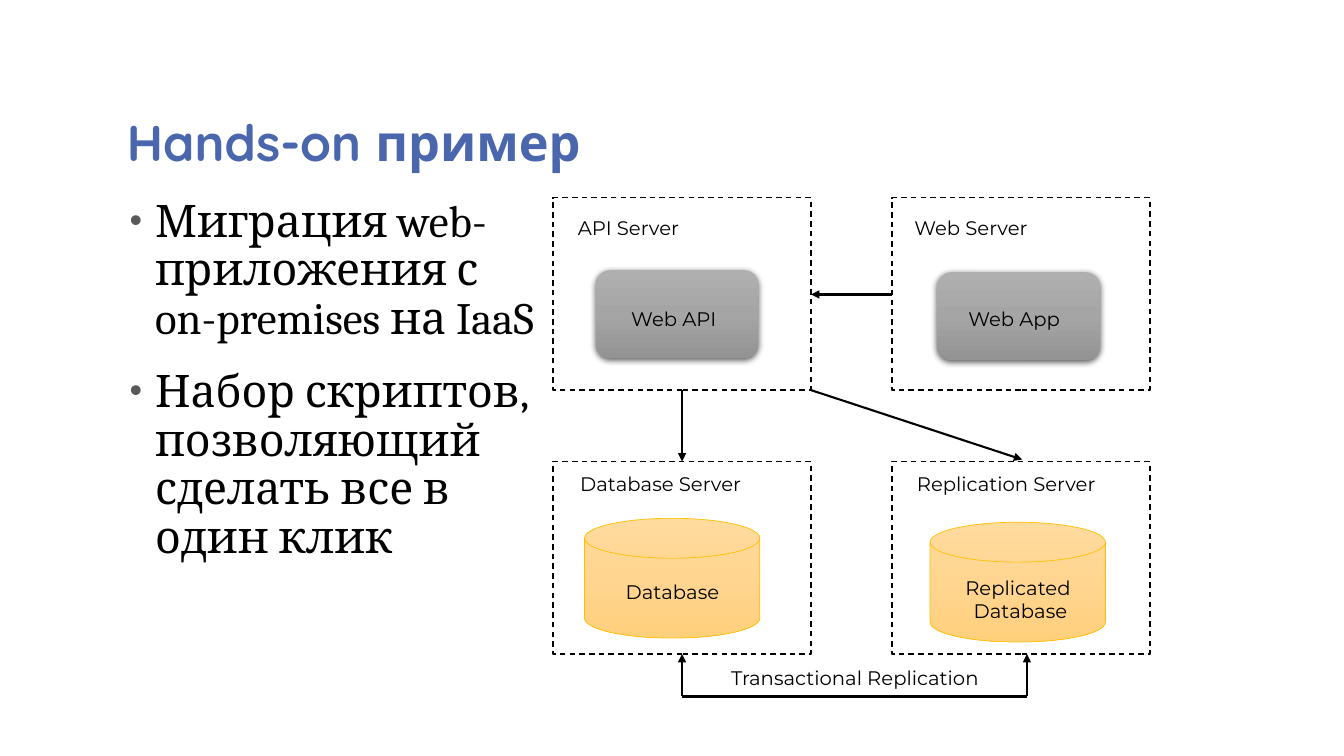
from dataclasses import dataclass

from lxml.etree import SubElement
from pptx import Presentation
from pptx.dml.color import RGBColor
from pptx.enum.dml import MSO_LINE
from pptx.enum.shapes import MSO_CONNECTOR, MSO_SHAPE as Preset
from pptx.enum.text import MSO_ANCHOR as Anchor, MSO_AUTO_SIZE as AutoSize, PP_ALIGN as Align
from pptx.oxml.ns import qn
from pptx.util import Cm, Pt

COLORS = {
    "title": "4A66AC", "text": "000000", "line": "000000", "paper": "FFFFFF",
    "bullet": "595959", "disk_line": "FFC000", "shadow": "000000",
}
APP_GRADIENT = ("AFAFAF", "A5A5A5", "939393")
DISK_GRADIENT = ("FFDB9E", "FFD590", "FFD07C")

COLUMNS = (13.94, 22.48)
ROWS = (4.98, 11.63)
SERVER_WIDTH, SERVER_HEIGHT = 6.5, 4.85
APP_SIZE, DISK_SIZE = (4.11, 2.21), (4.42, 3.02)


@dataclass(frozen=True)
class Node:
    """A filled shape inside a server, placed by its top left corner in cm."""
    left: float
    top: float


@dataclass(frozen=True)
class Label:
    """Centred lines of text, placed by their middle in cm."""
    lines: tuple[str, ...]
    x: float
    y: float
    width: float


@dataclass(frozen=True)
class Link:
    """A line between two points in cm, with an arrowhead at its end or none."""
    start: tuple[float, float]
    end: tuple[float, float]
    arrow: bool = True


APPS = (Node(15.01, 6.81), Node(23.62, 6.86))
DISKS = (Node(14.73, 13.06), Node(23.44, 13.16))

LABELS = (
    Label(("API Server",), 15.84, 5.73, 3.38),
    Label(("Web Server",), 24.47, 5.73, 3.58),
    Label(("Database Server",), 16.65, 12.2, 5),
    Label(("Replication Server",), 25.36, 12.2, 5.51),
    Label(("Web API",), 16.98, 8.04, 2.77),
    Label(("Web App",), 25.56, 8.04, 2.87),
    Label(("Replicated ", "Database"), 25.72, 15.1, 3.58),
    Label(("Database",), 16.95, 14.92, 3.07),
    Label(("Transactional Replication",), 21.55, 17.08, 7.49),
)

API_MIDDLE = COLUMNS[0] + SERVER_WIDTH / 2
API_RIGHT = COLUMNS[0] + SERVER_WIDTH
API_BOTTOM = ROWS[0] + SERVER_HEIGHT
DATA_BOTTOM = ROWS[1] + SERVER_HEIGHT
REPLICA_X, BRACKET_Y, WEB_Y = 25.88, 17.55, 7.42

LINKS = (
    Link((API_MIDDLE, API_BOTTOM), (API_MIDDLE, ROWS[1])),
    Link((API_RIGHT, API_BOTTOM), (25.76, 11.58)),
    Link((COLUMNS[1], WEB_Y), (API_RIGHT, WEB_Y)),
    Link((API_MIDDLE, BRACKET_Y), (API_MIDDLE, DATA_BOTTOM)),
    Link((REPLICA_X, BRACKET_Y), (REPLICA_X, DATA_BOTTOM)),
    Link((API_MIDDLE, BRACKET_Y), (REPLICA_X, BRACKET_Y), arrow=False),
)

BULLETS = (
    "Миграция web-приложения с on-premises на IaaS",
    "Набор скриптов, позволяющий сделать все в один клик",
)


def color(name: str) -> RGBColor:
    """Return the named colour."""
    return RGBColor.from_string(COLORS[name])


def add_shape(page, preset: Preset, left: float, top: float, width: float, height: float):
    """Add a preset shape without a shadow."""
    shape = page.shapes.add_shape(preset, Cm(left), Cm(top), Cm(width), Cm(height))
    shape.shadow.inherit = False
    return shape


def add_box(page, left: float, top: float, width: float, height: float, wrap: bool = True):
    """Add a text box and return its text frame."""
    frame = page.shapes.add_textbox(Cm(left), Cm(top), Cm(width), Cm(height)).text_frame
    frame.word_wrap = wrap
    return frame


def add_para(frame, index: int):
    """Return the first paragraph, or a new one after it."""
    return frame.add_paragraph() if index else frame.paragraphs[0]


def add_span(para, text: str, size: float, font: str, ink: str, bold: bool = False) -> None:
    """Add one run of text to a paragraph."""
    span = para.add_run()
    span.text = text
    span.font.size, span.font.name, span.font.bold = Pt(size), font, bold
    span.font.color.rgb = color(ink)


def fill_gradient(shape, shades: tuple[str, ...]) -> None:
    """Fill a shape from top to bottom with evenly spaced shades."""
    shape.fill.gradient()
    shape.fill.gradient_angle = 270
    stops = shape.element.spPr.find(".//" + qn("a:gsLst"))
    for stop in list(stops):
        stops.remove(stop)
    for index, shade in enumerate(shades):
        position = 100000 * index // (len(shades) - 1)
        stop = SubElement(stops, qn("a:gs"), pos=str(position))
        SubElement(stop, qn("a:srgbClr"), val=shade)


def add_shadow(shape) -> None:
    """Drop a soft shadow below a shape."""
    effects = shape.element.spPr.find(qn("a:effectLst"))
    shadow = SubElement(effects, qn("a:outerShdw"), blurRad=str(Pt(4.5)), dist=str(Pt(1.5)),
                        dir="5400000", algn="ctr", rotWithShape="0")
    tint = SubElement(shadow, qn("a:srgbClr"), val=COLORS["shadow"])
    SubElement(tint, qn("a:alpha"), val="63000")


def add_server(page, left: float, top: float) -> None:
    """Draw the dashed frame of a server."""
    server = add_shape(page, Preset.RECTANGLE, left, top, SERVER_WIDTH, SERVER_HEIGHT)
    server.fill.solid()
    server.fill.fore_color.rgb = color("paper")
    server.line.color.rgb = color("line")
    server.line.width = Pt(1)
    server.line.dash_style = MSO_LINE.DASH


def add_app(page, node: Node) -> None:
    """Draw an application block."""
    app = add_shape(page, Preset.ROUNDED_RECTANGLE, node.left, node.top, *APP_SIZE)
    fill_gradient(app, APP_GRADIENT)
    app.line.fill.background()
    add_shadow(app)


def add_disk(page, node: Node) -> None:
    """Draw a database cylinder."""
    disk = add_shape(page, Preset.FLOWCHART_MAGNETIC_DISK, node.left, node.top, *DISK_SIZE)
    fill_gradient(disk, DISK_GRADIENT)
    disk.line.color.rgb = color("disk_line")
    disk.line.width = Pt(0.5)


def add_label(page, label: Label) -> None:
    """Write a centred label."""
    height = 0.28 + 0.56 * len(label.lines)
    frame = add_box(page, label.x - label.width / 2, label.y - height / 2,
                    label.width, height, wrap=False)
    frame.auto_size = AutoSize.SHAPE_TO_FIT_TEXT
    frame.vertical_anchor = Anchor.MIDDLE
    for index, line in enumerate(label.lines):
        para = add_para(frame, index)
        para.alignment = Align.CENTER
        add_span(para, line, 14, "Montserrat", "text")


def add_link(page, link: Link) -> None:
    """Draw a line, with a triangle at its end if it is an arrow."""
    ends = [Cm(value) for value in (*link.start, *link.end)]
    line = page.shapes.add_connector(MSO_CONNECTOR.STRAIGHT, *ends)
    line.line.color.rgb = color("line")
    line.line.width = Pt(1.5)
    if link.arrow:
        SubElement(line.line._get_or_add_ln(), qn("a:tailEnd"), type="triangle")
    SubElement(line.element.spPr, qn("a:effectLst"))


def add_title(page, text: str) -> None:
    """Write the slide title."""
    frame = add_box(page, 2.95, 1.47, 24.13, 2.97)
    frame.vertical_anchor = Anchor.BOTTOM
    para = frame.paragraphs[0]
    para.line_spacing = 0.8
    add_span(para, text, 36, "Quicksand", "title", bold=True)


def add_bullets(page, texts: tuple[str, ...]) -> None:
    """Write the bulleted list."""
    frame = add_box(page, 2.9, 4.88, 10.85, 11.63)
    for index, text in enumerate(texts):
        para = add_para(frame, index)
        para.line_spacing, para.space_before = 0.9, Pt(18)
        add_span(para, text, 32, "Cambria", "text")
        layout = para._p.get_or_add_pPr()
        layout.set("marL", str(Cm(0.76)))
        layout.set("indent", str(Cm(-0.64)))
        tint = SubElement(layout, qn("a:buClr"))
        SubElement(tint, qn("a:srgbClr"), val=COLORS["bullet"])
        SubElement(layout, qn("a:buSzPct"), val="80000")
        SubElement(layout, qn("a:buFont"), typeface="Arial")
        SubElement(layout, qn("a:buChar"), char="•")


def main() -> None:
    """Build the slide and save it."""
    deck = Presentation()
    deck.slide_width, deck.slide_height = Cm(33.87), Cm(19.05)
    page = deck.slides.add_slide(deck.slide_layouts[6])
    add_title(page, "Hands-on пример")
    for top in ROWS:
        for left in COLUMNS:
            add_server(page, left, top)
    for draw, items in ((add_app, APPS), (add_disk, DISKS), (add_label, LABELS), (add_link, LINKS)):
        for item in items:
            draw(page, item)
    add_bullets(page, BULLETS)
    deck.save("out.pptx")


main()
